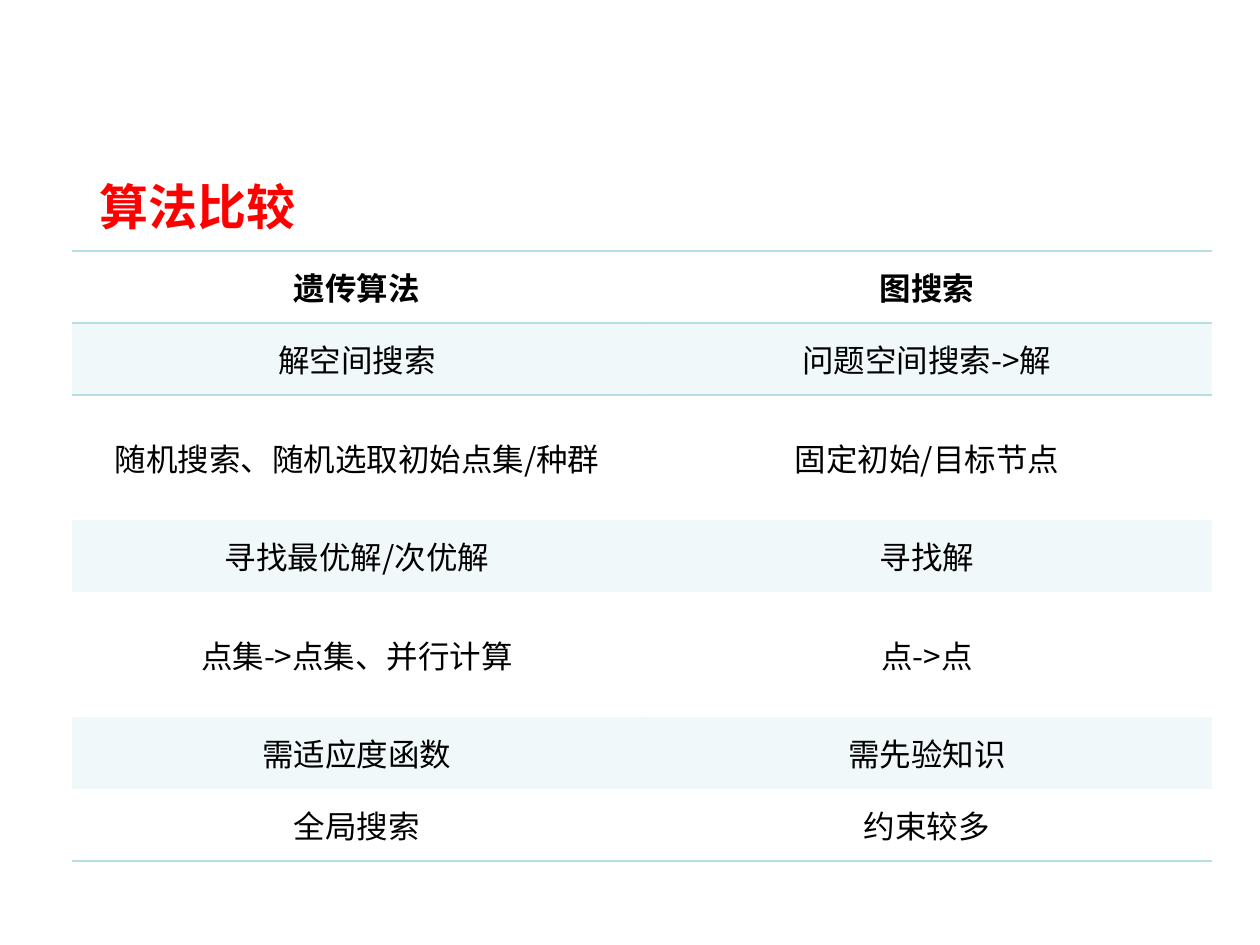
from lxml import etree
from pptx import Presentation
from pptx.dml.color import RGBColor
from pptx.enum.text import MSO_ANCHOR, PP_ALIGN
from pptx.oxml.ns import qn
from pptx.util import Emu, Pt

PX_PER_INCH = 126
EMU_PER_INCH = 914400
MIDDLE = MSO_ANCHOR.MIDDLE
CENTER = PP_ALIGN.CENTER
NO_STYLE = "{2D5ABB26-0587-4C30-8999-92F81FD0307C}"

ROWS = [
    ("遗传算法", "图搜索"),
    ("解空间搜索", "问题空间搜索->解"),
    ("随机搜索、随机选取初始点集/种群", "固定初始/目标节点"),
    ("寻找最优解/次优解", "寻找解"),
    ("点集->点集、并行计算", "点->点"),
    ("需适应度函数", "需先验知识"),
    ("全局搜索", "约束较多"),
]
TALL_ROWS = {2, 4}


def px(length):
    return Emu(round(length * EMU_PER_INCH / PX_PER_INCH))


def color(value):
    return RGBColor.from_string(value)


class SlideBuilder:
    font_name = "Noto Sans CJK SC"
    ink = "000000"
    title_color = "FF0000"
    accent = "B5E0E3"
    tint_alpha = 20

    def __init__(self, page):
        self.page = page

    def style(self, para, size, ink, bold):
        for span in para.runs:
            span.font.size = Pt(size)
            span.font.bold = bold
            span.font.color.rgb = color(ink)
            span.font.name = self.font_name
            properties = span.font._element
            etree.SubElement(properties, qn("a:ea"), typeface=self.font_name)

    def title(self, text, left, top, width, height):
        box = self.page.shapes.add_textbox(px(left), px(top), px(width), px(height))
        frame = box.text_frame
        frame.word_wrap = False
        frame.text = text
        self.style(frame.paragraphs[0], 28, self.title_color, True)

    def tint(self, cell):
        cell.fill.solid()
        cell.fill.fore_color.rgb = color(self.accent)
        shade = cell._tc.tcPr.find(".//" + qn("a:srgbClr"))
        etree.SubElement(shade, qn("a:alpha"), val=str(self.tint_alpha * 1000))

    def rule(self, cell, side):
        line = etree.Element(qn(side), w=str(Pt(1)))
        fill = etree.SubElement(line, qn("a:solidFill"))
        etree.SubElement(fill, qn("a:srgbClr"), val=self.accent)
        cell._tc.get_or_add_tcPr().insert(0, line)

    def table(self, rows, left, top, width, row_heights):
        columns = len(rows[0])
        frame = self.page.shapes.add_table(
            len(rows), columns, px(left), px(top), px(width), px(sum(row_heights))
        )
        table = frame.table
        table._tbl.tblPr.find(qn("a:tableStyleId")).text = NO_STYLE
        table.horz_banding = False
        for column in table.columns:
            column.width = px(width // columns)
        last = len(rows) - 1
        for index, texts in enumerate(rows):
            table.rows[index].height = px(row_heights[index])
            for column, text in enumerate(texts):
                cell = table.cell(index, column)
                cell.text = text
                cell.vertical_anchor = MIDDLE
                para = cell.text_frame.paragraphs[0]
                para.alignment = CENTER
                self.style(para, 18, self.ink, index == 0)
                if index % 2:
                    self.tint(cell)
                else:
                    cell.fill.background()
                if index in (0, last):
                    self.rule(cell, "a:lnB")
                if index in (0, 1):
                    self.rule(cell, "a:lnT")


def main():
    deck = Presentation()
    deck.slide_width = px(1260)
    deck.slide_height = px(945)
    builder = SlideBuilder(deck.slides.add_slide(deck.slide_layouts[6]))
    heights = [125 if index in TALL_ROWS else 72 for index in range(len(ROWS))]
    builder.table(ROWS, 72, 251, 1140, heights)
    builder.title("算法比较", 87, 170, 224, 72)
    deck.save("out.pptx")


if __name__ == "__main__":
    main()
